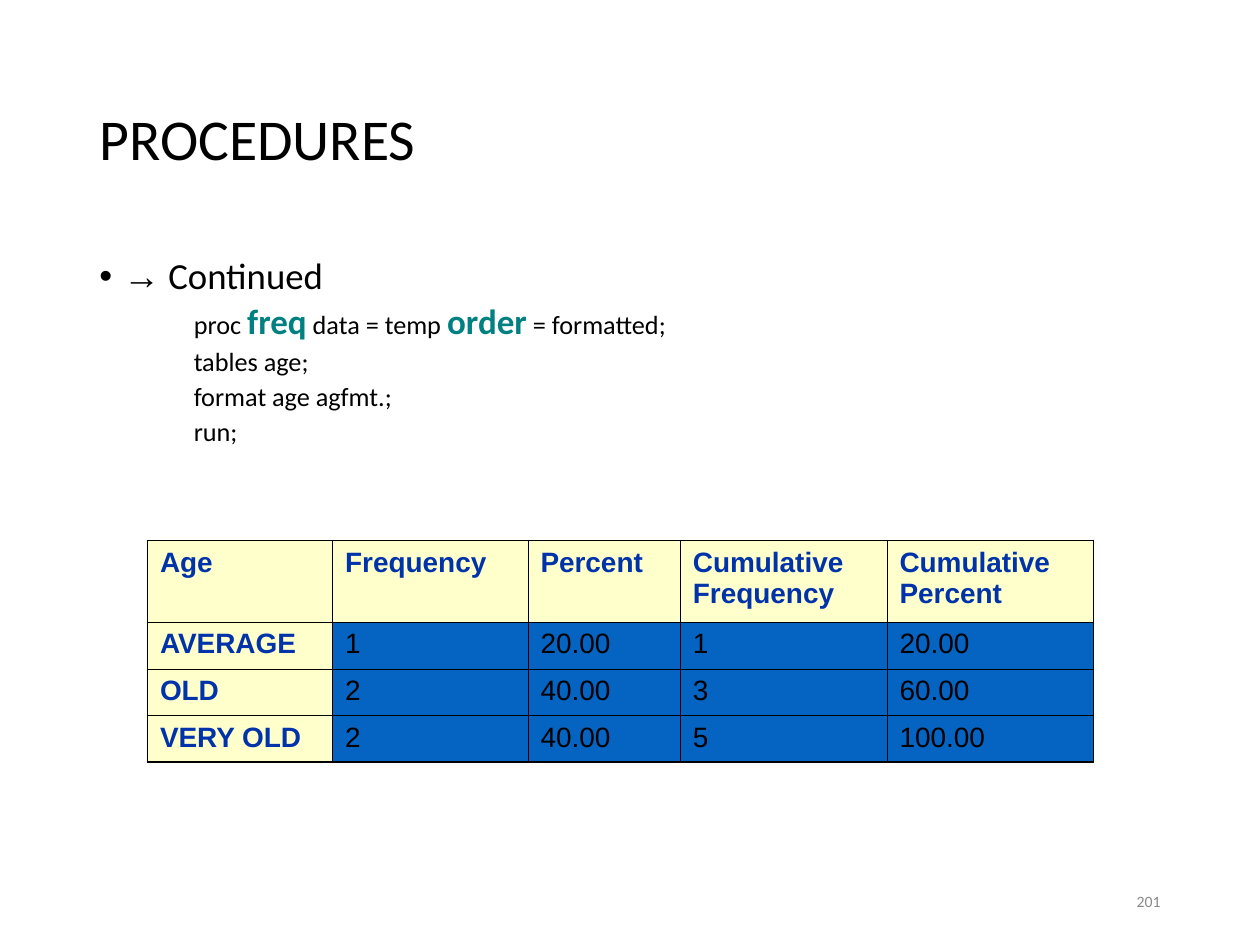
from copy import deepcopy
from dataclasses import dataclass

from lxml.etree import SubElement
from pptx import Presentation
from pptx.dml.color import RGBColor
from pptx.enum.text import MSO_ANCHOR, MSO_AUTO_SIZE, PP_ALIGN
from pptx.oxml.ns import qn
from pptx.util import Inches, Pt


@dataclass(frozen=True)
class Theme:
    ink: str = "000000"
    teal: str = "008080"
    navy: str = "0033A9"
    cream: str = "FFFFCC"
    blue: str = "0563C1"
    gray: str = "898989"
    sans: str = "Calibri"
    grid: str = "Arial"
    title: int = 33
    lead: int = 21
    key: int = 20
    code: int = 15
    cell: int = 16
    note: int = 9
    thin: float = 0.45
    thick: float = 1.08


T = Theme()

# The slide is a grid of 100 columns by 75 rows
WIDE, HIGH = Inches(10), Inches(7.5)
COL, ROW = WIDE / 100, HIGH / 75

CODE = [
    [("proc ", False), ("freq", True), (" data = temp ", False),
     ("order", True), (" = formatted;", False)],
    [("tables age;", False)],
    [("format age agfmt.;", False)],
    [("run;", False)],
]
HEAD = ["Age", "Frequency", "Percent", "Cumulative\nFrequency", "Cumulative\nPercent"]
DATA = [
    ["AVERAGE", "1", "20.00", "1", "20.00"],
    ["OLD", "2", "40.00", "3", "60.00"],
    ["VERY OLD", "2", "40.00", "5", "100.00"],
]
COLS = [14.7, 15.5, 12.1, 16.4, 16.4]
ROWS = [6.5, 3.7, 3.7, 3.7]


def span(box):
    """Turn grid columns and rows into slide lengths."""
    x, y, w, h = box
    return int(x * COL), int(y * ROW), int(w * COL), int(h * ROW)


def write(para, text, size=T.code, font=T.sans, color=T.ink, bold=False):
    """Add text to a paragraph; each newline is a line break."""
    for i, line in enumerate(text.split("\n")):
        if i:
            para.add_line_break()
        run = para.add_run()
        run.text = line
        run.font.size, run.font.name, run.font.bold = Pt(size), font, bold
        run.font.color.rgb = RGBColor.from_string(color)
    for gap in para._p.findall(qn("a:br")):
        gap.append(deepcopy(run._r.rPr))


def indent(para, left, mark=None):
    """Set a hanging indent, with a bullet if a mark is given."""
    props = para._p.get_or_add_pPr()
    props.set("marL", str(Inches(left)))
    props.set("indent", str(-Inches(0.19)))
    if mark:
        tint = SubElement(props, qn("a:buClr"))
        SubElement(tint, qn("a:srgbClr"), val=T.ink)
        SubElement(props, qn("a:buFont"), typeface=T.grid)
        SubElement(props, qn("a:buChar"), char=mark)
    else:
        SubElement(props, qn("a:buNone"))


def add_box(slide, box):
    frame = slide.shapes.add_textbox(*span(box)).text_frame
    frame.word_wrap = True
    return frame


def add_title(slide, box, text):
    shape = slide.shapes.title
    shape.left, shape.top, shape.width, shape.height = span(box)
    frame = shape.text_frame
    frame.auto_size = MSO_AUTO_SIZE.NONE
    frame.vertical_anchor = MSO_ANCHOR.MIDDLE
    para = frame.paragraphs[0]
    para.alignment, para.line_spacing = PP_ALIGN.LEFT, 0.9
    write(para, text, size=T.title)


def add_body(slide, box):
    frame = add_box(slide, box)
    # Lead line
    para = frame.paragraphs[0]
    para.line_spacing = 0.9
    indent(para, 0.19, mark="•")
    write(para, "→", size=T.lead, font=T.grid)
    write(para, " Continued", size=T.lead)
    # Code lines
    for line in CODE:
        para = frame.add_paragraph()
        para.level, para.line_spacing, para.space_before = 2, 0.9, Pt(3.7)
        indent(para, 0.94)
        for text, key in line:
            write(para, text, size=T.key if key else T.code,
                  color=T.teal if key else T.ink, bold=key)


def edge(cell, side, width):
    line = SubElement(cell._tc.get_or_add_tcPr(), qn("a:ln" + side), w=str(Pt(width)))
    fill = SubElement(line, qn("a:solidFill"))
    SubElement(fill, qn("a:srgbClr"), val=T.ink)


def add_grid(slide, box):
    rows = [HEAD] + DATA
    table = slide.shapes.add_table(len(rows), len(HEAD), *span(box)).table
    table.first_row = table.horz_banding = False
    for col, w in zip(table.columns, COLS):
        col.width = int(w * COL)
    for row, h in zip(table.rows, ROWS):
        row.height = int(h * ROW)
    for r, row in enumerate(rows):
        for c, text in enumerate(row):
            cell = table.cell(r, c)
            # Thick outer frame, thin inner rules
            outer = {"L": c == 0, "R": c == len(HEAD) - 1,
                     "T": r == 0, "B": r == len(rows) - 1}
            for side, rim in outer.items():
                edge(cell, side, T.thick if rim else T.thin)
            label = r == 0 or c == 0
            cell.fill.solid()
            cell.fill.fore_color.rgb = RGBColor.from_string(T.cream if label else T.blue)
            write(cell.text_frame.paragraphs[0], text, size=T.cell, font=T.grid,
                  color=T.navy if label else T.ink, bold=label)


def add_page(slide, box, text):
    frame = add_box(slide, box)
    frame.vertical_anchor = MSO_ANCHOR.MIDDLE
    para = frame.paragraphs[0]
    para.alignment = PP_ALIGN.RIGHT
    write(para, text, size=T.note, color=T.gray)


def main():
    deck = Presentation()
    deck.slide_width, deck.slide_height = WIDE, HIGH
    slide = deck.slides.add_slide(deck.slide_layouts[5])
    add_title(slide, (6.9, 4, 86.3, 14.5), "PROCEDURES")
    add_body(slide, (6.9, 20, 86.3, 47.6))
    add_page(slide, (70.6, 69.5, 22.5, 4), "201")
    add_grid(slide, (11.7, 42.9, sum(COLS), sum(ROWS)))
    deck.save("out.pptx")


if __name__ == "__main__":
    main()
